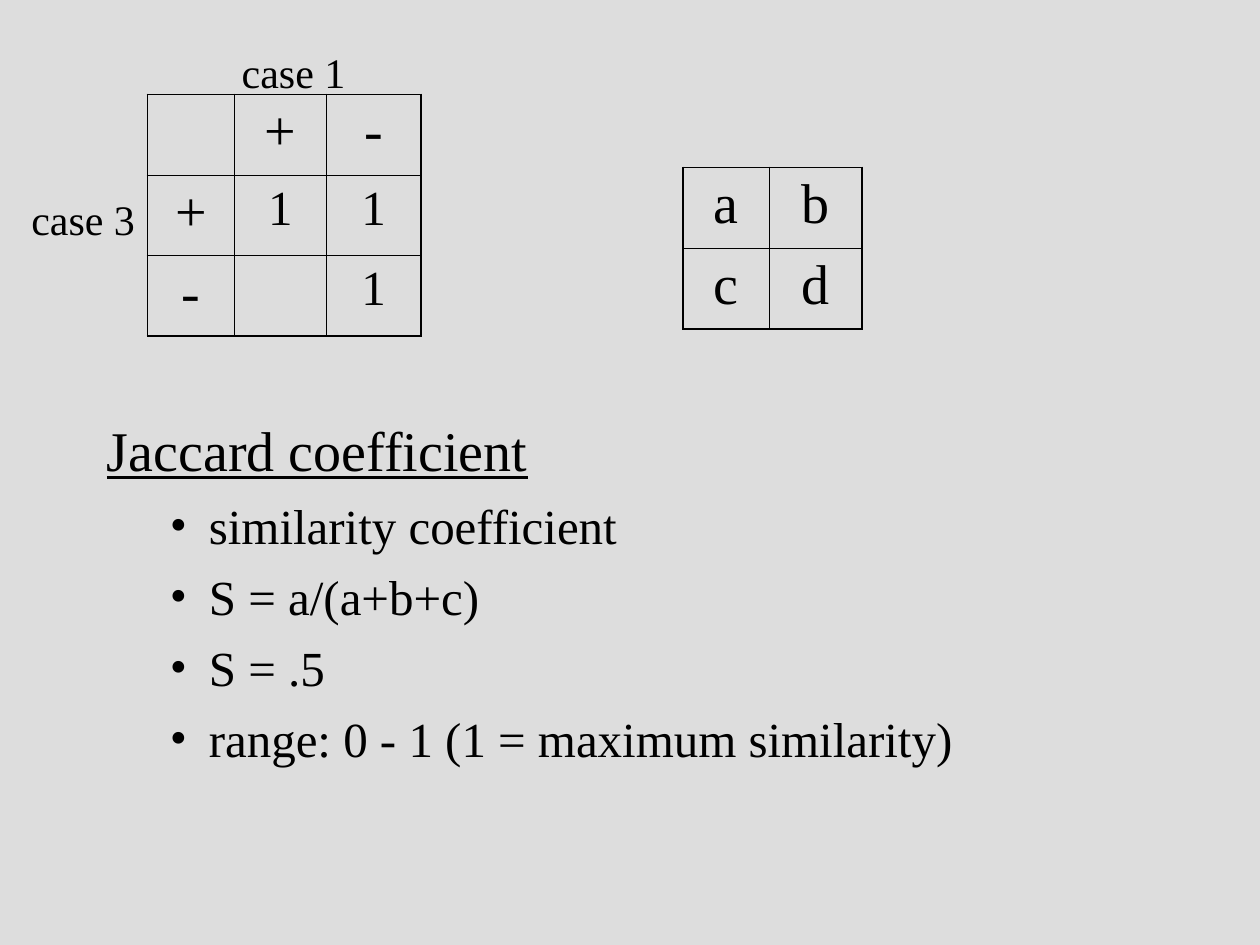
import pptx
import pptx.util
import pptx.dml.color
import pptx.enum.text
import pptx.oxml
import pptx.oxml.ns
from lxml import etree

Inches = pptx.util.Inches
Pt = pptx.util.Pt
qn = pptx.oxml.ns.qn

BLACK = pptx.dml.color.RGBColor(0x00, 0x00, 0x00)
GREY = pptx.dml.color.RGBColor(0xDD, 0xDD, 0xDD)
FONT = "Times New Roman"
THICK, THIN = 1.08, 0.45
ROW = 0.64
COLS = [0.69, 0.73, 0.75]

KEY = ["ab", "cd"]
COUNTS = [["", "+", "-"], ["+", "1", "1"], ["-", "", "1"]]
POINTS = [
    "similarity coefficient",
    "S = a/(a+b+c)",
    "S = .5",
    "range: 0 - 1 (1 = maximum similarity)",
]


def style(para, size, before, line=False):
    para.space_before = Pt(before)
    for run in para.runs:
        font = run.font
        font.name = FONT
        font.size = Pt(size)
        font.color.rgb = BLACK
        font.underline = line


def add_color(parent):
    fill = etree.SubElement(parent, qn("a:solidFill"))
    etree.SubElement(fill, qn("a:srgbClr"), val=str(BLACK))


def add_edges(cell, outer):
    """Draw the sides named in outer thick and the others thin."""
    props = cell._tc.get_or_add_tcPr()
    for side in "LRTB":
        width = THICK if side in outer else THIN
        edge = etree.SubElement(props, qn("a:ln" + side), w=str(Pt(width)))
        add_color(edge)


def add_grid(slide, left, top, rows):
    count, wide = len(rows), len(rows[0])
    cols = COLS[:wide]
    frame = slide.shapes.add_table(
        count, wide, Inches(left), Inches(top),
        Inches(sum(cols)), Inches(ROW * count))
    table = frame.table
    table.first_row = table.horz_banding = False
    for col, width in zip(table.columns, cols):
        col.width = Inches(width)
    for r, row in enumerate(rows):
        table.rows[r].height = Inches(ROW)
        for c, text in enumerate(row):
            cell = table.cell(r, c)
            ends = {"L": c == 0, "R": c == wide - 1,
                    "T": r == 0, "B": r == count - 1}
            add_edges(cell, [side for side in ends if ends[side]])
            cell.fill.background()
            cell.text_frame.text = text
            para = cell.text_frame.paragraphs[0]
            para.alignment = pptx.enum.text.PP_ALIGN.CENTER
            size, before = (28, 7) if text.isdigit() else (32, 8)
            style(para, size, before)


def add_box(slide, left, top, width, height):
    box = slide.shapes.add_textbox(
        Inches(left), Inches(top), Inches(width), Inches(height))
    box.text_frame.word_wrap = True
    return box.text_frame


def add_label(slide, left, top, width, text):
    frame = add_box(slide, left, top, width, 0.5)
    frame.auto_size = pptx.enum.text.MSO_AUTO_SIZE.SHAPE_TO_FIT_TEXT
    frame.text = text
    style(frame.paragraphs[0], 24, 15)


def indent(para, left, first):
    props = para._p.get_or_add_pPr()
    props.set("marL", str(Inches(left)))
    props.set("indent", str(Inches(first)))
    return props


def add_notes(slide, title, points):
    """Add the underlined heading and its bulleted points."""
    frame = add_box(slide, 0.75, 3.25, 8.5, 3.42)
    frame.text = title
    head = frame.paragraphs[0]
    style(head, 32, 8, line=True)
    indent(head, 0.38, -0.38)
    for text in points:
        para = frame.add_paragraph()
        para.text = text
        para.level = 1
        style(para, 28, 7)
        props = indent(para, 0.81, -0.31)
        color = etree.SubElement(props, qn("a:buClr"))
        etree.SubElement(color, qn("a:srgbClr"), val=str(BLACK))
        etree.SubElement(props, qn("a:buFont"), typeface=FONT)
        etree.SubElement(props, qn("a:buChar"), char="•")


def main():
    deck = pptx.Presentation()
    deck.slide_width, deck.slide_height = Inches(10), Inches(7.5)
    slide = deck.slides.add_slide(deck.slide_layouts[6])
    back = slide.background.fill
    back.solid()
    back.fore_color.rgb = GREY
    add_grid(slide, 5.42, 1.33, KEY)
    add_grid(slide, 1.17, 0.75, COUNTS)
    add_label(slide, 1.82, 0.32, 1.35, "case 1")
    add_label(slide, 0.15, 1.49, 2.08, "case 3")
    add_notes(slide, "Jaccard coefficient", POINTS)
    deck.save("out.pptx")


if __name__ == "__main__":
    main()
